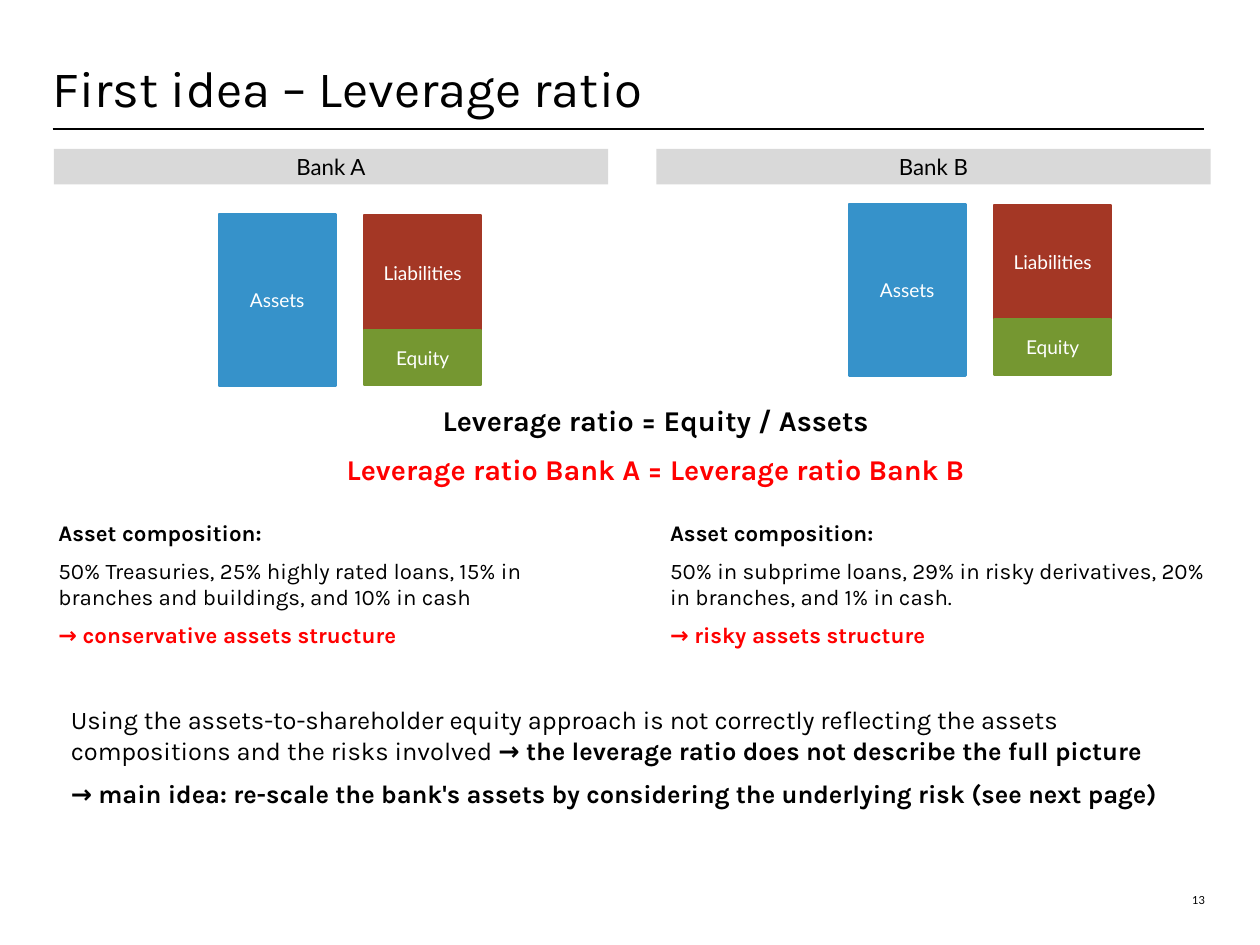
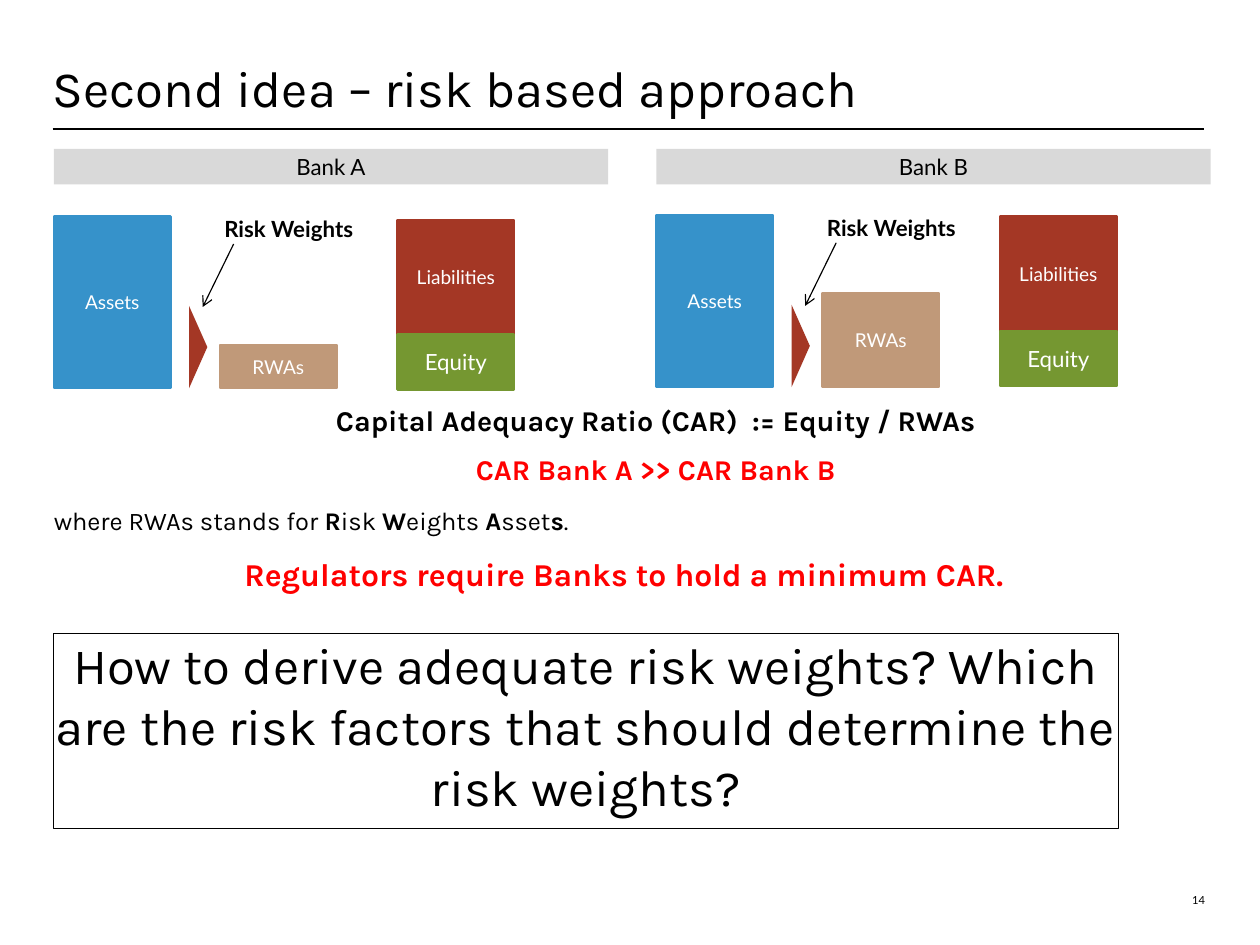
"""Builds two slides comparing the capital ratios of two banks."""
from lxml.etree import SubElement
from pptx import Presentation
from pptx.dml.color import RGBColor
from pptx.enum.shapes import MSO_CONNECTOR as Connector, MSO_SHAPE as Shape
from pptx.enum.text import MSO_ANCHOR as Anchor, MSO_AUTO_SIZE as AutoSize, PP_ALIGN as Align
from pptx.oxml.ns import qn
from pptx.util import Inches, Pt

BLACK = RGBColor(0x00, 0x00, 0x00)
WHITE = RGBColor(0xFF, 0xFF, 0xFF)
RED = RGBColor(0xFF, 0x00, 0x00)
GREY = RGBColor(0xD9, 0xD9, 0xD9)
BLUE = RGBColor(0x36, 0x92, 0xCA)
BRICK = RGBColor(0xA4, 0x37, 0x25)
GREEN = RGBColor(0x75, 0x97, 0x31)
TAN = RGBColor(0xC0, 0x99, 0x79)

BODY_FONT, LABEL_FONT = "Karla", "Lato"
BOLD = {"bold": True}
ALERT = {"bold": True, "color": RED}

BANK_LEFTS = (0.47, 5.73)
BANK_WIDTH = 4.84
BAR_WIDTH, ASSETS_HEIGHT, LIABILITIES_HEIGHT, EQUITY_HEIGHT = 1.02, 1.5, 1, 0.48


def set_values(target, values):
    """Set each named attribute of the target."""
    for name, value in values.items():
        setattr(target, name, value)


def write(shape, paragraphs, size, font=BODY_FONT, color=BLACK, align=Align.LEFT,
          anchor=Anchor.TOP, inset=(0, 0)):
    """Fill a shape with paragraphs, each a list of (text, format) runs."""
    frame = shape.text_frame
    across, down = map(Inches, inset)
    set_values(frame, {"word_wrap": True, "auto_size": AutoSize.NONE, "vertical_anchor": anchor,
                       "margin_left": across, "margin_right": across,
                       "margin_top": down, "margin_bottom": down})
    for index, runs in enumerate(paragraphs):
        paragraph = frame.add_paragraph() if index else frame.paragraphs[0]
        paragraph.alignment = align
        before = SubElement(paragraph._p.get_or_add_pPr(), qn("a:spcBef"))
        SubElement(before, qn("a:spcPct")).set("val", "50000")
        for text, changes in runs:
            style = {"size": Pt(size), "name": font, "bold": False, "color": color, **changes}
            run = paragraph.add_run()
            run.text = text
            run.font.color.rgb = style.pop("color")
            set_values(run.font, style)
            if "align" in changes:
                paragraph.alignment = changes["align"]


def add_text(slide, box, paragraphs, size, **style):
    """Add a text box at (left, top, width, height)."""
    write(slide.shapes.add_textbox(*map(Inches, box)), paragraphs, size, **style)


def add_block(slide, box, fill=None, line=None, weight=1.5, kind=Shape.RECTANGLE):
    """Add a flat preset shape with optional fill and outline."""
    block = slide.shapes.add_shape(kind, *map(Inches, box))
    block.shadow.inherit = False
    for paint, color in ((block.fill, fill), (block.line.fill, line)):
        if color is None:
            paint.background()
        else:
            paint.solid()
            paint.fore_color.rgb = color
    if line is not None:
        block.line.width = Pt(weight)
    return block


def add_bar(slide, left, top, height, label, color, size=12):
    """Add one labelled balance-sheet bar."""
    bar = add_block(slide, (left, top, BAR_WIDTH, height), color, color)
    write(bar, [[(label, {})]], size, LABEL_FONT, WHITE, Align.CENTER, Anchor.MIDDLE, (0.1, 0.05))


def add_line(slide, start, end, weight, arrow=False):
    """Add a straight black line, with an open arrowhead if asked."""
    line = slide.shapes.add_connector(Connector.STRAIGHT, *map(Inches, start + end))
    line.line.color.rgb = BLACK
    line.line.width = Pt(weight)
    if arrow:
        SubElement(line.line._get_or_add_ln(), qn("a:tailEnd")).set("type", "arrow")
    SubElement(line._element.spPr, qn("a:effectLst"))


def add_page(deck, heading, number):
    """Add a slide with title, rule, bank headers and page number."""
    slide = deck.slides.add_slide(deck.slide_layouts[5])
    title = slide.shapes.title
    set_values(title, {"left": Inches(0.46), "top": Inches(0),
                       "width": Inches(10.05), "height": Inches(1.03)})
    write(title, [[(heading, {})]], 32, anchor=Anchor.BOTTOM)
    title.text_frame.paragraphs[0].line_spacing = Pt(32)
    add_line(slide, (0.46, 1.13), (10.51, 1.13), 1.25)
    for left, bank in zip(BANK_LEFTS, ("Bank A", "Bank B")):
        header = add_block(slide, (left, 1.3, BANK_WIDTH, 0.31), GREY)
        write(header, [[(bank, {})]], 14, LABEL_FONT, align=Align.CENTER, anchor=Anchor.MIDDLE,
              inset=(0.1, 0.05))
    add_text(slide, (10.07, 7.5, 0.45, 0.42), [[(str(number), {})]], 7, font=LABEL_FONT,
             align=Align.RIGHT, anchor=Anchor.BOTTOM)
    return slide


def add_funding(slide, left, top, equity_size=12):
    """Stack liabilities on equity."""
    add_bar(slide, left, top, LIABILITIES_HEIGHT, "Liabilities", BRICK)
    add_bar(slide, left, top + LIABILITIES_HEIGHT, EQUITY_HEIGHT, "Equity", GREEN, equity_size)


def add_balance_sheet(slide, left, top):
    """Place assets beside their funding."""
    add_bar(slide, left, top, ASSETS_HEIGHT, "Assets", BLUE)
    add_funding(slide, left + 1.27, top + 0.01)


def add_risk_weighting(slide, left, top, rwa_height, funding_top):
    """Show assets shrinking to risk-weighted assets, beside their funding."""
    add_bar(slide, left, top, ASSETS_HEIGHT, "Assets", BLUE)
    add_bar(slide, left + 1.45, top + ASSETS_HEIGHT - rwa_height, rwa_height, "RWAs", TAN)
    add_funding(slide, left + 3, funding_top, 14)
    wedge = add_block(slide, (left + 0.9, top + 1.06, 0.72, 0.16), BRICK,
                      kind=Shape.ISOSCELES_TRIANGLE)
    wedge.rotation = 90
    add_line(slide, (left + 1.57, top + 0.24), (left + 1.3, top + 0.79), 0.75, arrow=True)
    add_text(slide, (left + 1.39, top - 0.03, 2.53, 0.27), [[("Risk Weights", BOLD)]], 14,
             font=LABEL_FONT, anchor=Anchor.MIDDLE, inset=(0.1, 0.05))


def add_ratio(slide, definition, comparison):
    """Write the ratio and how the banks compare on it."""
    add_text(slide, (2.17, 3.52, 7.11, 0.52), [[(definition, BOLD)], [(comparison, ALERT)]], 18,
             align=Align.CENTER)


def add_composition(slide, left, mix, verdict):
    """Describe what one bank's assets consist of."""
    add_text(slide, (left, 4.53, BANK_WIDTH, 0.99),
             [[("Asset composition:", BOLD)], [(mix, {})], [(verdict, ALERT)]], 14)


def build_leverage(deck):
    """Build the leverage ratio slide."""
    slide = add_page(deck, "First idea – Leverage ratio", 13)
    add_balance_sheet(slide, 1.91, 1.87)
    add_balance_sheet(slide, 7.41, 1.78)
    add_ratio(slide, "Leverage ratio = Equity / Assets",
              "Leverage ratio Bank A = Leverage ratio Bank B")
    add_composition(slide, 0.51, "50% Treasuries, 25% highly rated loans, 15% in branches and "
                    "buildings, and 10% in cash", "→ conservative assets structure")
    add_composition(slide, 5.85, "50% in subprime loans, 29% in risky derivatives, 20% in "
                    "branches, and 1% in cash.", "→ risky assets structure")
    add_text(slide, (0.52, 6.1, 10.17, 1.04), [
        [("Using the assets-to-shareholder equity approach is not correctly reflecting the "
          "assets compositions and the risks involved ", {}),
         ("→ the leverage ratio does not describe the full picture", BOLD)],
        [("→ main idea: re-scale the bank's assets by considering the underlying risk "
          "(see next page)", BOLD)],
    ], 16, inset=(0.1, 0.05))


def build_risk_based(deck):
    """Build the risk-based approach slide."""
    slide = add_page(deck, "Second idea – risk based approach", 14)
    for left, top, rwa_height, funding_top in zip(BANK_LEFTS, (1.89, 1.88), (0.38, 0.82),
                                                  (1.92, 1.89)):
        add_risk_weighting(slide, left, top, rwa_height, funding_top)
    add_ratio(slide, "Capital Adequacy Ratio (CAR)  := Equity / RWAs", "CAR Bank A >> CAR Bank B")
    add_text(slide, (0.47, 4.41, 10.1, 1.45), [
        [("where RWAs stands for ", {}), ("R", BOLD), ("isk ", {}), ("W", BOLD),
         ("eights ", {}), ("A", BOLD), ("sset", {}), ("s", BOLD), (".", {})],
    ], 16)
    add_text(slide, (0.47, 4.84, 9.96, 0.4),
             [[("Regulators require Banks to hold a minimum CAR.", ALERT)]], 20,
             align=Align.CENTER)
    question = add_block(slide, (0.47, 5.53, 9.29, 1.7), line=BLACK, weight=0.5)
    write(question, [[("How to derive adequate risk weights? Which are the risk factors that "
                       "should determine the risk weights?", {})]], 32, align=Align.CENTER)


def main():
    """Build and save the deck."""
    deck = Presentation()
    deck.slide_width, deck.slide_height = Inches(11), Inches(8.25)
    build_leverage(deck)
    build_risk_based(deck)
    deck.save("out.pptx")


if __name__ == "__main__":
    main()
